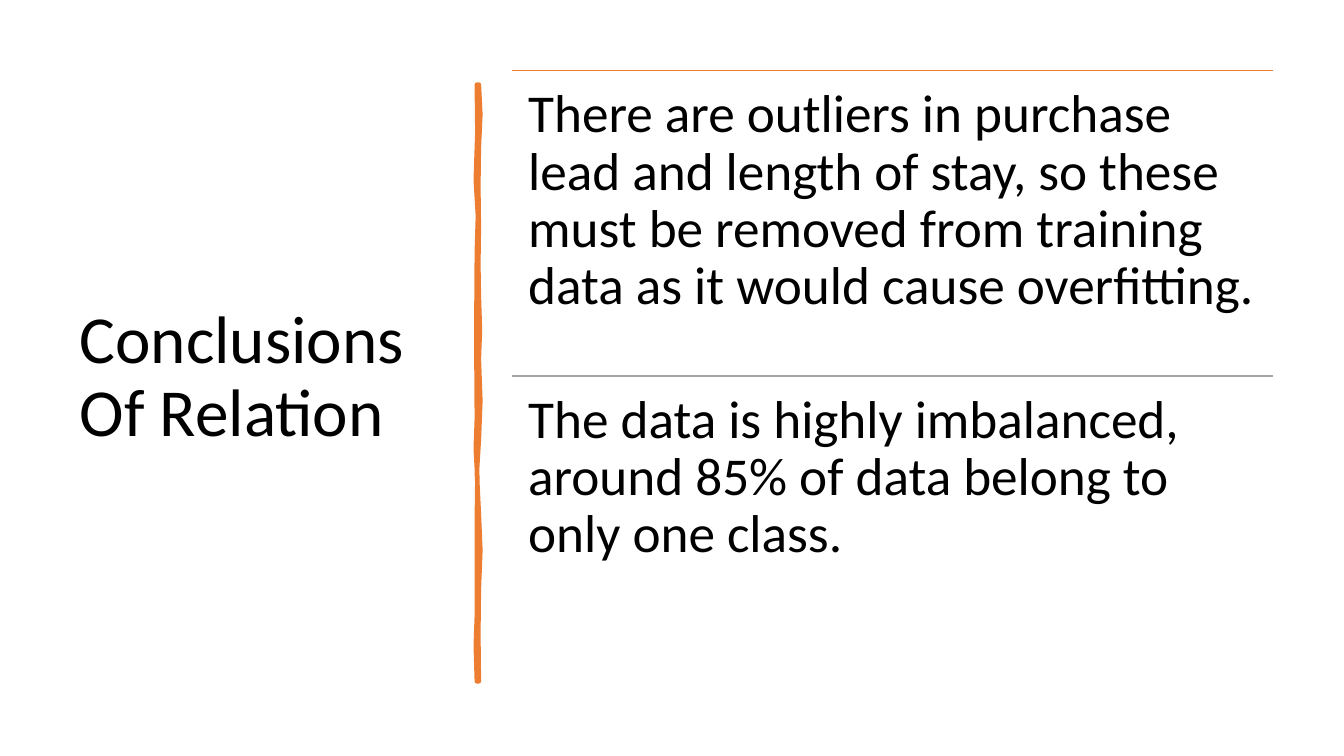
"""Build the conclusions slide: a title, a hand-drawn divider and two ruled statements."""
from pptx import Presentation
from pptx.dml.color import RGBColor
from pptx.enum.text import MSO_ANCHOR, MSO_AUTO_SIZE, PP_ALIGN
from pptx.enum.shapes import MSO_CONNECTOR
from pptx.oxml.ns import qn
from pptx.util import Inches, Pt
from lxml.etree import SubElement

BLACK = RGBColor(0x00, 0x00, 0x00)
ORANGE = RGBColor(0xED, 0x7D, 0x31)
GRAY = RGBColor(0xA5, 0xA5, 0xA5)
FONT = "Calibri"

TITLE = "Conclusions Of Relation"
STATEMENTS = [
    ("There are outliers in purchase lead and length of stay, so these must be "
     "removed from training data as it would cause overfitting.", ORANGE),
    ("The data is highly imbalanced, around 85% of data belong to only one class.", GRAY),
]
TOP = 9.33
LIST_LEFT, LIST_WIDTH, ROW_HEIGHT = 38.1, 56.64, 40.4
BAR_LEFT, BAR_RIGHT, BAR_TOP, BAR_HEIGHT = 35.48, 35.63, 11.2, 78.93
RIGHT_WAVES = [(0, 0), (5, 0.11), (10.5, 0), (17, -0.04), (24, 0), (30, -0.04),
               (35.5, 0), (41, 0.08), (46, 0), (53, 0.11), (59.5, 0), (65, -0.15),
               (72, 0), (78, 0.11), (84.5, 0), (92, -0.04), (100, 0)]
LEFT_WAVES = [(100, 0), (94, -0.08), (89, 0), (80, 0), (73, 0), (66, 0.04),
              (61, -0.08), (56, 0), (42, -0.04), (28, 0), (22, 0.08), (16, -0.08),
              (8, 0.04), (0, 0)]


def write(frame, text, size, color=BLACK, font=FONT, spacing=0.9,
          align=PP_ALIGN.LEFT, anchor=MSO_ANCHOR.TOP):
    frame.word_wrap = True
    frame.auto_size = MSO_AUTO_SIZE.NONE
    frame.vertical_anchor = anchor
    paragraph = frame.paragraphs[0]
    paragraph.alignment = align
    paragraph.line_spacing = spacing
    paragraph.space_before = Pt(0)
    run = paragraph.add_run()
    run.text = text
    run.font.name, run.font.size, run.font.color.rgb = font, Pt(size), color
    return paragraph


class SlideBuilder:
    """Hold the slide and place elements by percent of its size."""

    def __init__(self, presentation, layout):
        self.width = presentation.slide_width
        self.height = presentation.slide_height
        self.slide = presentation.slides.add_slide(presentation.slide_layouts[layout])

    def point(self, x, y):
        return round(self.width * x / 100), round(self.height * y / 100)

    def place(self, shape, x, y, width, height):
        shape.left, shape.top = self.point(x, y)
        shape.width, shape.height = self.point(width, height)

    def title(self, text, box):
        shape = self.slide.shapes.title
        self.place(shape, *box)
        write(shape.text_frame, text, 48, anchor=MSO_ANCHOR.MIDDLE)

    def statement(self, shape, text, box):
        self.place(shape, *box)
        frame = shape.text_frame
        frame.margin_left = frame.margin_top = frame.margin_bottom = Inches(0.16)
        frame.margin_right = Inches(0.1)
        properties = write(frame, text, 38)._p.get_or_add_pPr()
        properties.set("marL", "0")
        properties.set("indent", "0")
        SubElement(properties, qn("a:buNone"))

    def rule(self, x, y, width, color):
        line = self.slide.shapes.add_connector(
            MSO_CONNECTOR.STRAIGHT, *self.point(x, y), *self.point(x + width, y))
        line.line.color.rgb = color
        line.line.width = Pt(1)
        SubElement(line._element.spPr, qn("a:effectLst"))

    def outline(self, points, color, weight):
        start, *rest = [self.point(x, y) for x, y in points]
        builder = self.slide.shapes.build_freeform(*start)
        builder.add_line_segments(rest, close=True)
        shape = builder.convert_to_shape()
        shape.shadow.inherit = False
        shape.fill.solid()
        shape.fill.fore_color.rgb = color
        shape.line.color.rgb = color
        shape.line.width = Pt(weight)
        line = shape.line._get_or_add_ln()
        line.set("cap", "rnd")
        SubElement(line, qn("a:round"))


def main():
    presentation = Presentation()
    presentation.slide_width, presentation.slide_height = Inches(13.33), Inches(7.5)
    builder = SlideBuilder(presentation, layout=3)
    builder.title(TITLE, (5.18, TOP, 28.06, 81.47))
    edges = [(BAR_RIGHT, RIGHT_WAVES), (BAR_LEFT, LEFT_WAVES)]
    builder.outline([(x + shift, BAR_TOP + BAR_HEIGHT * share / 100)
                     for x, waves in edges for share, shift in waves], ORANGE, 3.25)
    bodies = list(builder.slide.placeholders)[1:]
    for row, (body, (text, color)) in enumerate(zip(bodies, STATEMENTS)):
        y = TOP + row * ROW_HEIGHT
        builder.rule(LIST_LEFT, y, LIST_WIDTH, color)
        builder.statement(body, text, (LIST_LEFT, y, LIST_WIDTH, ROW_HEIGHT))
    presentation.save("out.pptx")


main()
